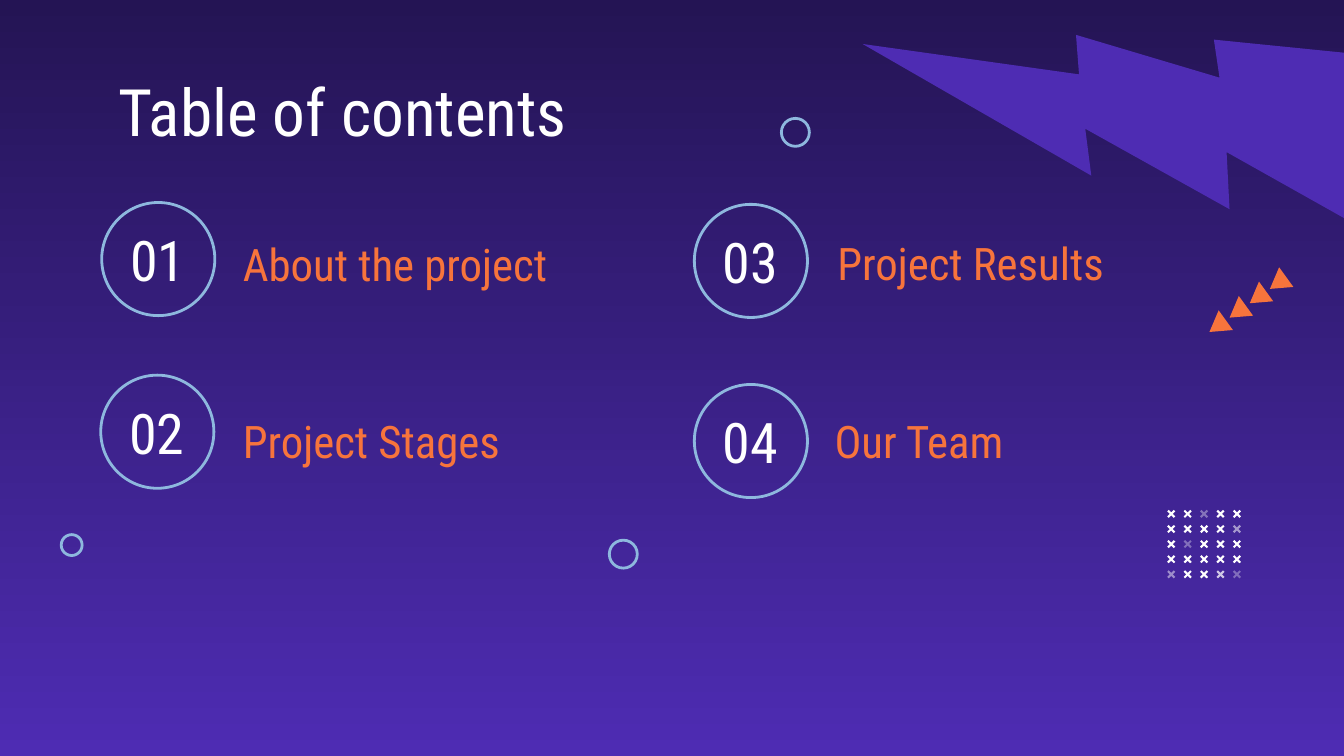
from lxml import etree
from pptx import Presentation
from pptx.dml.color import RGBColor
from pptx.enum import shapes, text
from pptx.oxml import ns
from pptx.util import Pt

WHITE, ORANGE, BLUE, VIOLET = "FFFFFF", "F7743C", "8EB8DE", "4E2CB3"
KIND = shapes.MSO_SHAPE
TOP, MID = text.MSO_ANCHOR.TOP, text.MSO_ANCHOR.MIDDLE
LEFT, CENTER = text.PP_ALIGN.LEFT, text.PP_ALIGN.CENTER


def paint(fill, color):
    fill.solid()
    fill.fore_color.rgb = RGBColor.from_string(color)


def write(shape, words, size, color, align=LEFT, anchor=MID):
    frame = shape.text_frame
    look = {"word_wrap": True, "auto_size": text.MSO_AUTO_SIZE.NONE,
            "vertical_anchor": anchor}
    look |= {f"margin_{side}": Pt(7.2) for side in ("left", "right", "top", "bottom")}
    for key, value in look.items():
        setattr(frame, key, value)
    para = frame.paragraphs[0]
    para.alignment = align
    run = para.add_run()
    run.text = words
    run.font.name = "Roboto Condensed"
    run.font.size = Pt(size)
    paint(run.font.fill, color)


deck = Presentation()
deck.slide_width, deck.slide_height = Pt(720), Pt(405)
slide = deck.slides.add_slide(deck.slide_layouts[5])

# Background, dark at the top
back = slide.background.fill
back.gradient()
back.gradient_angle = 270
for stop, (place, color) in zip(back.gradient_stops, [(0, "241454"), (1, VIOLET)]):
    stop.position = place
    stop.color.rgb = RGBColor.from_string(color)

# Lightning bolt
bolt = slide.shapes.add_shape(KIND.LIGHTNING_BOLT, Pt(504), Pt(-49), Pt(228.2), Pt(228.2))
bolt.shadow.inherit = False
bolt.rotation = 59.9
bolt._element.spPr.xfrm.set("flipH", "1")
paint(bolt.fill, VIOLET)
bolt.line.fill.background()

# Title
title = slide.shapes.title
place = {"left": 56.2, "top": 31, "width": 607, "height": 46}
for key, value in place.items():
    setattr(title, key, Pt(value))
write(title, "Table of contents", 35, WHITE, anchor=TOP)

# Contents: circle corner, label corner, label
items = [
    (54.5, 108.5, 123, 128, "About the project"),
    (54, 201, 123, 223, "Project Stages"),
    (372, 109.5, 441.5, 127.5, "Project Results"),
    (372, 206, 440, 223, "Our Team"),
]

# Rings: left, top, size
rings = [(x, y, 60.6) for x, y, *rest in items]
rings += [(32.8, 286.4, 11.2), (418.6, 63.4, 15), (326.4, 289.4, 15)]
for x, y, size in rings:
    ring = slide.shapes.add_shape(KIND.OVAL, Pt(x), Pt(y), Pt(size), Pt(size))
    ring.shadow.inherit = False
    ring.fill.background()
    ring.line.width = Pt(1.5)
    paint(ring.line.fill, BLUE)

for num, (x, y, left, top, label) in enumerate(items, 1):
    box = slide.shapes.add_textbox(Pt(x - 1.9), Pt(y - 4.2), Pt(64), Pt(69))
    write(box, f"{num:02}", 30, WHITE, CENTER)
    box = slide.shapes.add_textbox(Pt(left), Pt(top), Pt(245.5), Pt(26.6))
    write(box, label, 24, ORANGE)

# Cross grid: opacity in percent by (row, column)
faint = {(0, 2): 36, (1, 4): 53, (2, 1): 34, (4, 0): 48, (4, 3): 75, (4, 4): 33}
for row in range(5):
    for col in range(5):
        cross = slide.shapes.add_shape(
            KIND.CROSS, Pt(625 + 8.8 * col), Pt(272.8 + 8.1 * row), Pt(5), Pt(5))
        cross.shadow.inherit = False
        cross.rotation = 315
        cross.adjustments[0] = 0.39
        paint(cross.fill, WHITE)
        cross.line.fill.background()
        if (row, col) in faint:
            tint = cross._element.spPr.find(".//" + ns.qn("a:srgbClr"))
            alpha = etree.SubElement(tint, ns.qn("a:alpha"))
            alpha.set("val", str(faint[row, col] * 1000))

# Triangle trail
for step in range(4):
    tri = slide.shapes.add_shape(
        KIND.ISOSCELES_TRIANGLE, Pt(678.2 - 10.8 * step), Pt(146.2 + 7.7 * step),
        Pt(13), Pt(10.8))
    tri.shadow.inherit = False
    tri.rotation = 234.2
    paint(tri.fill, ORANGE)
    tri.line.fill.background()

deck.save("out.pptx")
